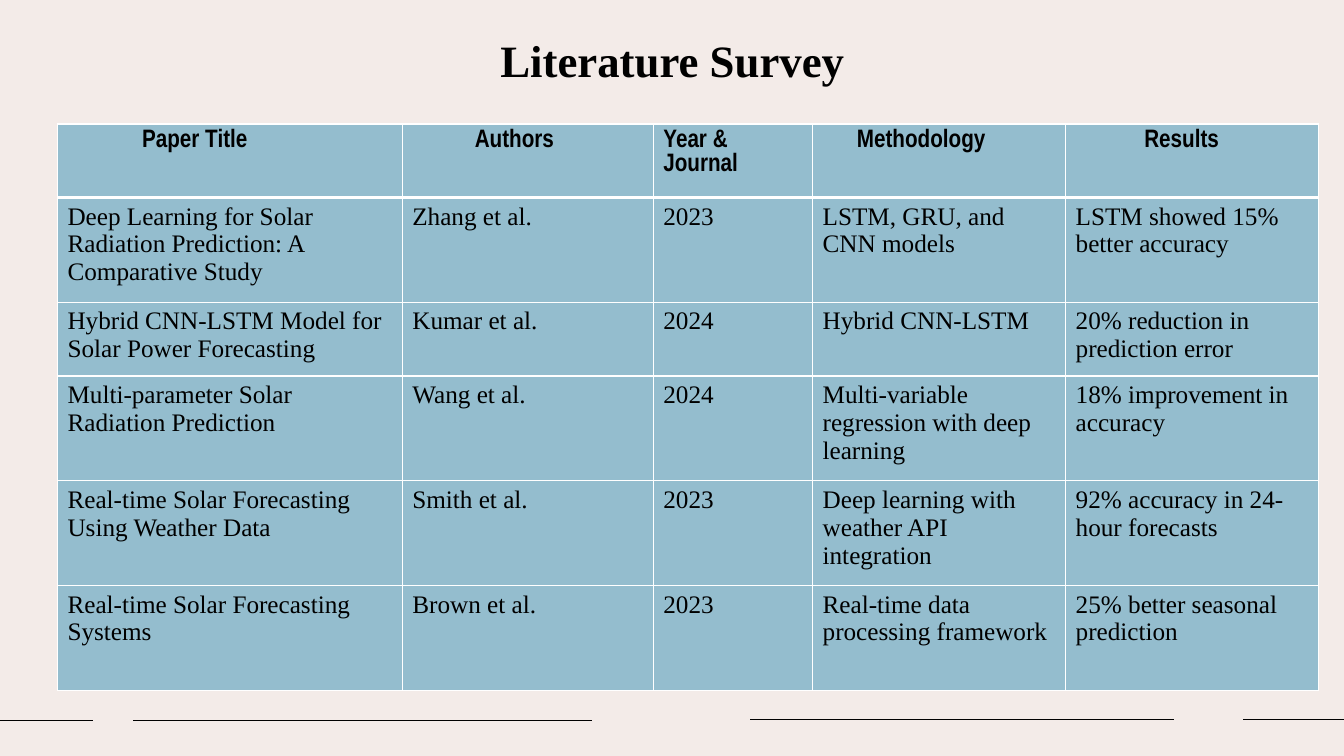
"""Build the literature survey slide."""
from lxml import etree
from pptx import Presentation
from pptx.dml.color import RGBColor
from pptx.enum import shapes, text
from pptx.oxml import ns
from pptx.util import Inches, Pt

BACKGROUND = RGBColor(0xF3, 0xEB, 0xE8)
CELL_BLUE = RGBColor(0x94, 0xBD, 0xCE)
BLACK = RGBColor(0, 0, 0)
WHITE = RGBColor(0xFF, 0xFF, 0xFF)
SERIF, NARROW = "Times New Roman", "Arial Narrow"

TITLE_FONT = {"size": Pt(32), "name": SERIF, "bold": True}
HEADER_FONT = {"size": Pt(18), "name": NARROW, "bold": True}
BODY_FONT = {"size": Pt(18), "name": SERIF, "bold": False}

COLUMN_WIDTHS = [3.42, 2.49, 1.58, 2.51, 2.51]
ROW_HEIGHTS = [0.73, 1.04, 0.73, 1.04, 1.04, 1.04]
HEADER_INDENTS = [0.84, 0.72, 0.1, 0.44, 0.78]
FOOTER_LINES = [(0, 0.92, 7.15), (1.32, 5.87, 7.15), (7.44, 11.64, 7.14), (12.33, 13.33, 7.14)]
SURVEY = [
    ["Paper Title", "Authors", "Year & Journal", "Methodology", "Results"],
    ["Deep Learning for Solar Radiation Prediction: A Comparative Study", "Zhang et al.", "2023",
     "LSTM, GRU, and CNN models", "LSTM showed 15% better accuracy"],
    ["Hybrid CNN-LSTM Model for Solar Power Forecasting", "Kumar et al.", "2024",
     "Hybrid CNN-LSTM", "20% reduction in prediction error"],
    ["Multi-parameter Solar Radiation Prediction", "Wang et al.", "2024",
     "Multi-variable regression with deep learning", "18% improvement in accuracy"],
    ["Real-time Solar Forecasting Using Weather Data", "Smith et al.", "2023",
     "Deep learning with weather API integration", "92% accuracy in 24-hour forecasts"],
    ["Real-time Solar Forecasting Systems", "Brown et al.", "2023",
     "Real-time data processing framework", "25% better seasonal prediction"],
]


def write_text(frame, content, font_values):
    """Write one black paragraph with the given font values."""
    paragraph = frame.paragraphs[0]
    run = paragraph.add_run()
    run.text = content
    for name, value in font_values.items():
        setattr(run.font, name, value)
    run.font.color.rgb = BLACK
    return paragraph


def add_title(slide, content):
    """Add the centred slide title."""
    box = slide.shapes.add_textbox(Inches(1.25), Inches(0.28), Inches(10.84), Inches(0.65))
    box.text_frame.word_wrap = True
    write_text(box.text_frame, content, TITLE_FONT).alignment = text.PP_ALIGN.CENTER


def add_footer_line(slide, start, end, height):
    """Add one thin horizontal line at the foot of the slide."""
    line = slide.shapes.add_connector(
        shapes.MSO_CONNECTOR.STRAIGHT, Inches(start), Inches(height), Inches(end), Inches(height))
    line.line.color.rgb = BLACK
    line.line.width = Pt(1)
    etree.SubElement(line._element.spPr, ns.qn("a:effectLst"))


def set_borders(cell, top, bottom):
    """Give a cell white borders with the given top and bottom widths in points."""
    properties = cell._tc.get_or_add_tcPr()
    for side, width in {"lnL": 1, "lnR": 1, "lnT": top, "lnB": bottom}.items():
        border = etree.SubElement(properties, ns.qn(f"a:{side}"), w=str(Pt(width)))
        fill = etree.SubElement(border, ns.qn("a:solidFill"))
        etree.SubElement(fill, ns.qn("a:srgbClr"), val=str(WHITE))


def add_survey_table(slide):
    """Add the table of surveyed papers."""
    frame = slide.shapes.add_table(
        len(SURVEY), len(COLUMN_WIDTHS), Inches(0.57), Inches(1.23),
        Inches(sum(COLUMN_WIDTHS)), Inches(sum(ROW_HEIGHTS)))
    table = frame.table
    for column, width in zip(table.columns, COLUMN_WIDTHS):
        column.width = Inches(width)
    for row_index, (row, height) in enumerate(zip(table.rows, ROW_HEIGHTS)):
        row.height = Inches(height)
        is_header = row_index == 0
        for cell, content, indent in zip(row.cells, SURVEY[row_index], HEADER_INDENTS):
            set_borders(cell, 3 if row_index == 1 else 1, 3 if is_header else 1)
            cell.fill.solid()
            cell.fill.fore_color.rgb = CELL_BLUE
            cell.margin_left = Inches(indent if is_header else 0.1)
            write_text(cell.text_frame, content, HEADER_FONT if is_header else BODY_FONT)


def main():
    """Build and save the presentation."""
    presentation = Presentation()
    presentation.slide_width = Inches(13.33)
    presentation.slide_height = Inches(7.5)
    slide = presentation.slides.add_slide(presentation.slide_layouts[6])
    slide.background.fill.solid()
    slide.background.fill.fore_color.rgb = BACKGROUND
    for start, end, height in FOOTER_LINES:
        add_footer_line(slide, start, end, height)
    add_title(slide, "Literature Survey")
    add_survey_table(slide)
    presentation.save("out.pptx")


if __name__ == "__main__":
    main()
